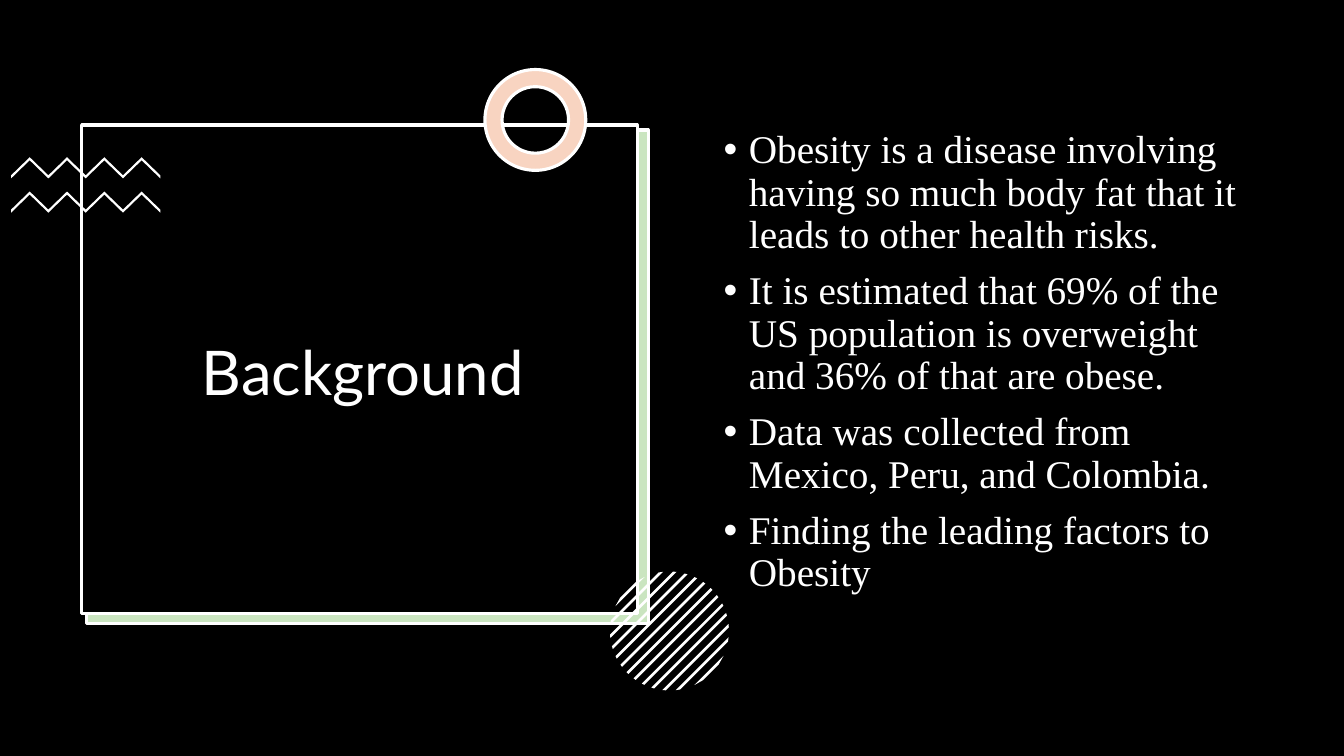
from math import sqrt
from lxml.etree import SubElement
from pptx import Presentation
from pptx.dml.color import RGBColor as RGB
from pptx.enum.shapes import MSO_SHAPE as Shape
from pptx.enum.text import MSO_ANCHOR as Anchor, PP_ALIGN as Align
from pptx.oxml.ns import qn
from pptx.util import Inches, Pt

HUES = {"black": "000000", "white": "FFFFFF", "green": "CAE5C0", "peach": "F8D4C1"}
FACTS = [
    "Obesity is a disease involving having so much body fat that it leads to other health risks.",
    "It is estimated that 69% of the US population is overweight and 36% of that are obese.",
    "Data was collected from Mexico, Peru, and Colombia.",
    "Finding the leading factors to Obesity",
]


def paint(shape, fill, line=None):
    """Give a shape its fill and outline, without a shadow."""
    shape.shadow.inherit = False
    shape.fill.solid()
    shape.fill.fore_color.rgb = RGB.from_string(HUES[fill])
    if line:
        shape.line.color.rgb = RGB.from_string(HUES[line])
        shape.line.width = Pt(2.25)
    else:
        shape.line.fill.background()
    return shape


def add_form(slide, kind, box, fill, line=None):
    """Add a painted preset shape."""
    return paint(slide.shapes.add_shape(kind, *map(Inches, box)), fill, line)


def add_path(slide, points, fill):
    """Add a closed outline through points in inches."""
    spots = [(Inches(x), Inches(y)) for x, y in points]
    pen = slide.shapes.build_freeform(*spots[0])
    pen.add_line_segments(spots[1:], close=True)
    paint(pen.convert_to_shape(), fill)


def add_text(slide, box, lines, size, font, align=Align.LEFT, anchor=Anchor.TOP,
             before=0, bullet=False):
    """Add a text box with one paragraph per line."""
    frame = slide.shapes.add_textbox(*map(Inches, box)).text_frame
    frame.word_wrap = True
    frame.vertical_anchor = anchor
    for i, line in enumerate(lines):
        para = frame.add_paragraph() if i else frame.paragraphs[0]
        para.alignment = align
        para.line_spacing = 0.9
        para.space_before = Pt(before)
        run = para.add_run()
        run.text = line
        run.font.size = Pt(size)
        run.font.name = font
        run.font.color.rgb = RGB.from_string(HUES["white"])
        if bullet:
            props = para._p.get_or_add_pPr()
            props.set("marL", str(Inches(0.25)))
            props.set("indent", str(-Inches(0.25)))
            SubElement(props, qn("a:buFont")).set("typeface", "Arial")
            SubElement(props, qn("a:buChar")).set("char", "•")


def add_waves(slide, x, y, wide):
    """Draw two zigzag bands, one below the other."""
    step = wide / 8
    for top in (y, y + 0.34):
        upper = [(x + i * step, top + (0 if i % 2 else 0.18)) for i in range(9)]
        lower = [(px, py + 0.03) for px, py in reversed(upper)]
        add_path(slide, upper + lower, "white")


def add_disc(slide, x, y, size):
    """Draw a disc made of diagonal stripes."""
    rad = size / 2
    mid_x, mid_y = x + rad, y + rad

    def chord(gap):
        half = sqrt(rad ** 2 - gap ** 2)
        return [(mid_x + (gap + s * half) / sqrt(2), mid_y + (gap - s * half) / sqrt(2))
                for s in (1, -1)]

    for i in range(-6, 7):
        gap = i * size * 0.08
        add_path(slide, chord(gap - 0.013) + chord(gap + 0.013)[::-1], "white")


def add_panel(slide, x, y, wide, high, title):
    """Draw the framed title with its ornaments."""
    add_form(slide, Shape.RECTANGLE, (x + 0.05, y + 0.05, wide + 0.06, high + 0.05),
             "green", "white")
    add_form(slide, Shape.RECTANGLE, (x, y, wide, high), "black", "white")
    add_waves(slide, x - 0.7, y + 0.32, 1.48)
    ring = add_form(slide, Shape.DONUT, (x + 4, y - 0.55, 1, 1), "peach", "white")
    ring.adjustments[0] = 0.17
    add_disc(slide, x + 5.24, y + 4.43, 1.18)
    add_text(slide, (x + 0.11, y + 0.28, 5.36, 4.42), [title], 44, "Lato",
             align=Align.CENTER, anchor=Anchor.MIDDLE)


def main():
    """Build the slide and save it."""
    deck = Presentation()
    deck.slide_width, deck.slide_height = Inches(13.33), Inches(7.5)
    slide = deck.slides.add_slide(deck.slide_layouts[6])
    add_form(slide, Shape.RECTANGLE, (0, 0, 13.33, 7.5), "black")
    add_panel(slide, 0.81, 1.24, 5.51, 4.85, "Background")
    add_text(slide, (7.08, 1.24, 5.44, 4.76), FACTS, 28, "Times New Roman",
             before=10, bullet=True)
    deck.save("out.pptx")


if __name__ == "__main__":
    main()
